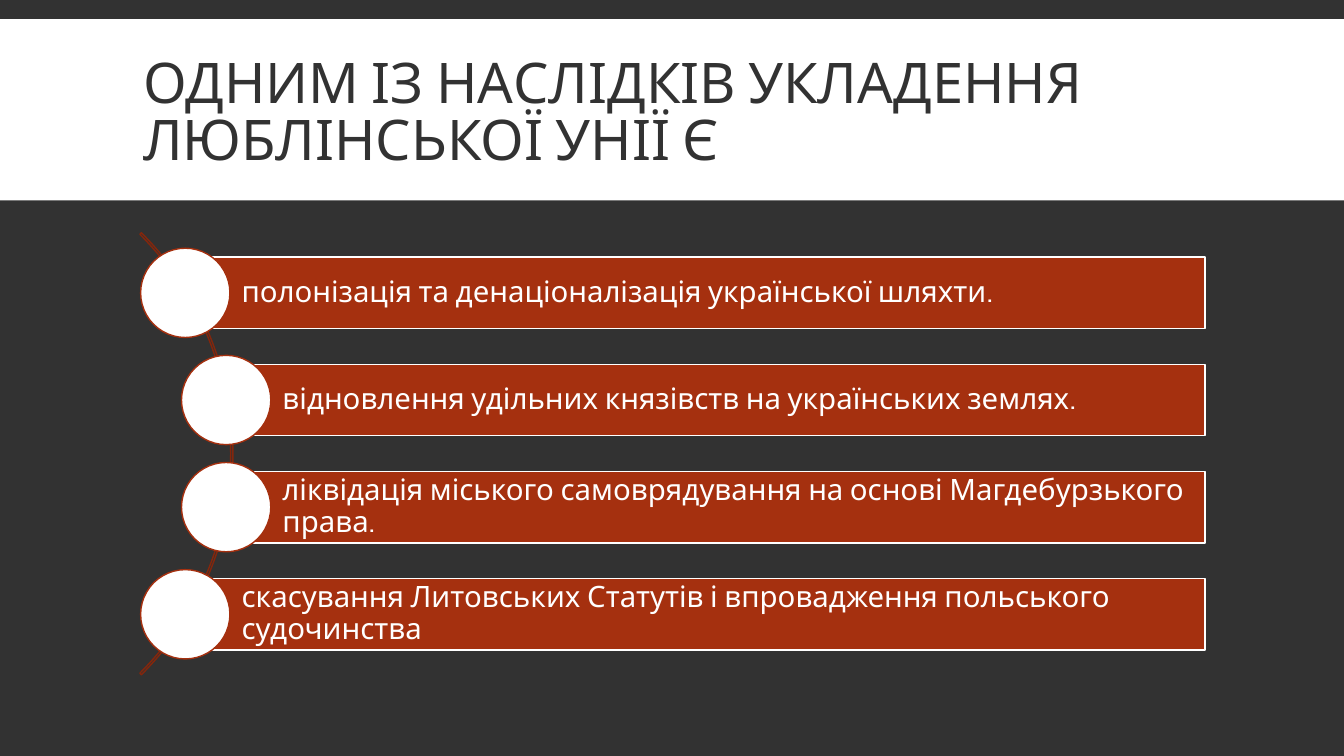
from dataclasses import dataclass

from pptx import Presentation
from pptx.dml.color import RGBColor
from pptx.enum.shapes import MSO_SHAPE
from pptx.enum.text import MSO_ANCHOR, MSO_AUTO_SIZE, PP_ALIGN
from pptx.util import Cm, Pt


@dataclass(frozen=True)
class Theme:
    dark: str = "323232"
    light: str = "FFFFFF"
    accent: str = "A5300F"
    accent_dark: str = "84260C"
    font: str = "Cabin"
    title_size: int = 40
    item_size: int = 21
    line_width: int = 1


class SlideBuilder:
    def __init__(self, slide, theme):
        self.slide = slide
        self.theme = theme

    def background(self):
        fill = self.slide.background.fill
        fill.solid()
        fill.fore_color.rgb = RGBColor.from_string(self.theme.dark)

    def shape(self, kind, left, top, width, height, fill=None, line=None):
        shape = self.slide.shapes.add_shape(
            kind, Cm(left), Cm(top), Cm(width), Cm(height))
        shape.shadow.inherit = False
        if fill:
            shape.fill.solid()
            shape.fill.fore_color.rgb = RGBColor.from_string(fill)
        else:
            shape.fill.background()
        if line:
            shape.line.color.rgb = RGBColor.from_string(line)
            shape.line.width = Pt(self.theme.line_width)
        else:
            shape.line.fill.background()
        return shape

    def add_text(self, shape, text, size, color, spacing):
        frame = shape.text_frame
        frame.word_wrap = True
        frame.auto_size = MSO_AUTO_SIZE.NONE
        frame.vertical_anchor = MSO_ANCHOR.MIDDLE
        paragraph = frame.paragraphs[0]
        paragraph.alignment = PP_ALIGN.LEFT
        paragraph.line_spacing = spacing
        run = paragraph.add_run()
        run.text = text
        run.font.name = self.theme.font
        run.font.size = Pt(size)
        run.font.color.rgb = RGBColor.from_string(color)

    def title(self, text, left, top, width, height):
        title = self.slide.shapes.title
        title.left, title.top = Cm(left), Cm(top)
        title.width, title.height = Cm(width), Cm(height)
        self.add_text(title, text, self.theme.title_size, self.theme.dark, 0.85)

    def title_band(self, top, width, height):
        band = self.shape(MSO_SHAPE.RECTANGLE, 0, top, width, height,
                          fill=self.theme.light)
        # The band lies behind the title
        self.slide.shapes.title._element.addprevious(band._element)

    def arc(self, left, top, diameter):
        arc = self.shape(MSO_SHAPE.BLOCK_ARC, left, top, diameter, diameter,
                         line=self.theme.accent_dark)
        # Start angle, end angle (315° and 45°) and thickness
        for index, value in enumerate((189, 27, 0.0035)):
            arc.adjustments[index] = value

    def item(self, text, left, top, right, height, diameter):
        bar = self.shape(MSO_SHAPE.RECTANGLE, left, top, right - left, height,
                         fill=self.theme.accent, line=self.theme.light)
        frame = bar.text_frame
        frame.margin_left = Cm(1.42)
        frame.margin_top = frame.margin_right = frame.margin_bottom = Cm(0.15)
        self.add_text(bar, text, self.theme.item_size, self.theme.light, 0.9)
        # The circle is centred on the bar's left side
        self.shape(MSO_SHAPE.OVAL, left - diameter / 2,
                   top + (height - diameter) / 2, diameter, diameter,
                   fill=self.theme.light, line=self.theme.accent)


CONSEQUENCES = [
    ("полонізація та денаціоналізація української шляхти.", 4.67),
    ("відновлення удільних князівств на українських землях.", 5.7),
    ("ліквідація міського самоврядування на основі Магдебурзького права.", 5.7),
    ("скасування Литовських Статутів і впровадження польського судочинства", 4.67),
]


def main():
    presentation = Presentation()
    presentation.slide_width = Cm(33.87)
    presentation.slide_height = Cm(19.05)
    title_only = presentation.slide_layouts[5]
    builder = SlideBuilder(presentation.slides.add_slide(title_only), Theme())

    # Heading
    builder.background()
    builder.title_band(0.48, 33.87, 4.57)
    builder.title("ОДНИМ ІЗ НАСЛІДКІВ УКЛАДЕННЯ ЛЮБЛІНСЬКОЇ УНІЇ Є",
                  3.35, 0.79, 27.18, 4.19)

    # Consequences along the arc
    builder.arc(-9.88, 3.56, 15.75)
    first_top, pitch = 6.48, 2.7
    for row, (consequence, left) in enumerate(CONSEQUENCES):
        builder.item(consequence, left, first_top + row * pitch,
                     right=30.37, height=1.8, diameter=2.25)

    presentation.save("out.pptx")


if __name__ == "__main__":
    main()
